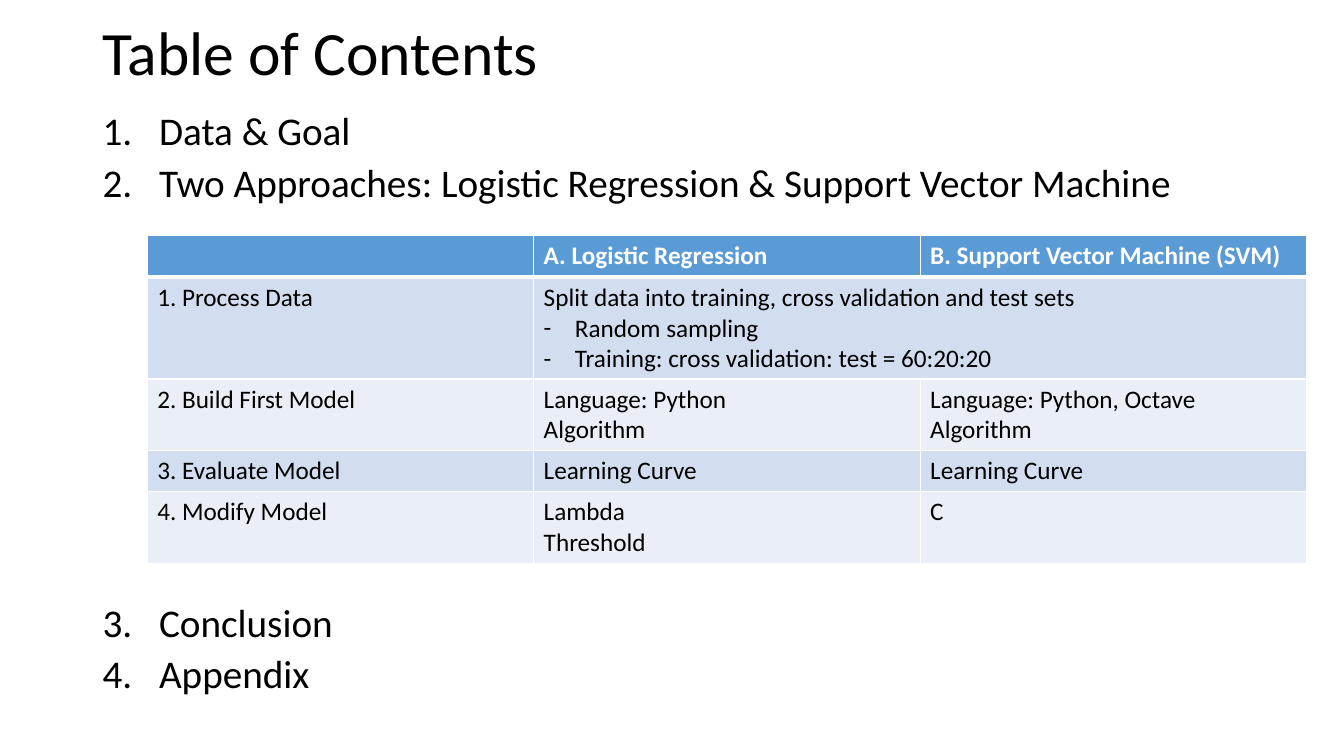
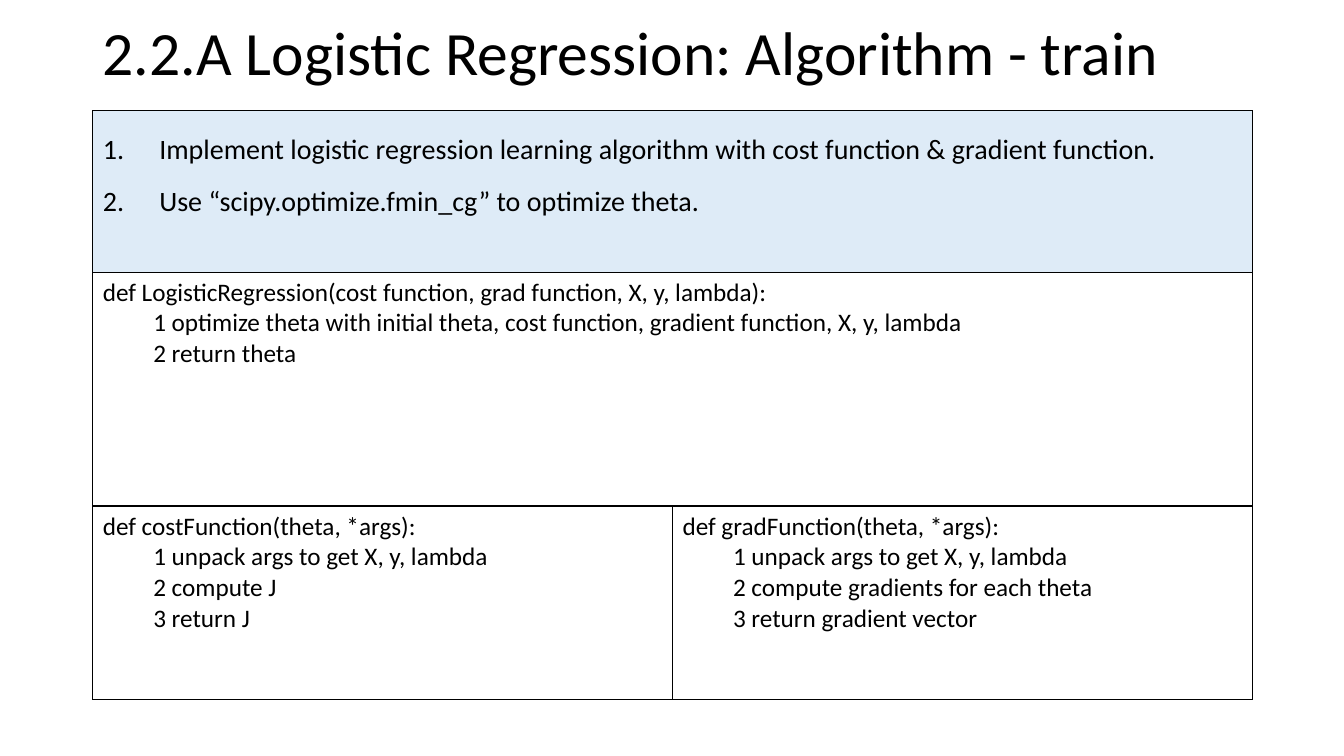
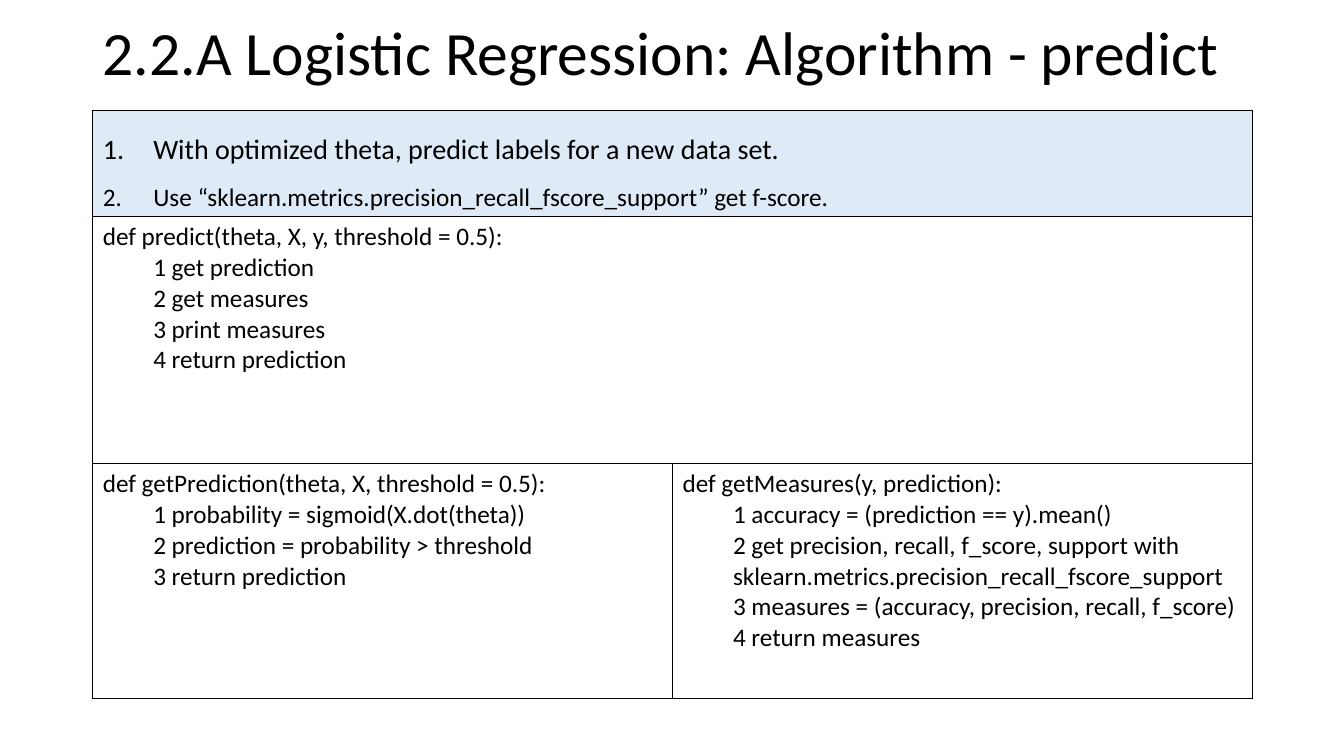
"""Builds three slides on a logistic regression study: contents, training and prediction."""
from dataclasses import dataclass

from lxml.etree import SubElement
from pptx import Presentation
from pptx.dml.color import RGBColor
from pptx.enum.text import MSO_ANCHOR
from pptx.oxml.ns import qn
from pptx.util import Inches, Pt

BLACK = RGBColor(0x00, 0x00, 0x00)
WHITE = RGBColor(0xFF, 0xFF, 0xFF)
HEADER_BLUE = RGBColor(0x5B, 0x9B, 0xD5)
BAND_DARK = RGBColor(0xD2, 0xDE, 0xEF)
BAND_LIGHT = RGBColor(0xEA, 0xEF, 0xF7)
SUMMARY_BLUE = RGBColor(0xDE, 0xEB, 0xF7)

LEFT, WIDTH, CONTENT_TOP = 0.92, 11.5, 1.1


@dataclass
class Line:
    """One paragraph with its size, indent, bullet and spacing."""
    text: str
    size: float = 18
    indent: float = 0
    bullet: str = ""
    spacing: float = 1.0
    before: float = 0
    color: RGBColor = BLACK
    bold: bool = False


@dataclass
class Cell:
    """One table cell with its lines, fill and column span."""
    lines: list
    fill: RGBColor = None
    span: int = 1


class Deck:
    """Holds the shared style and the current slide."""

    font = "Calibri"

    def __init__(self):
        self.presentation = Presentation()
        self.presentation.slide_width = Inches(13.33)
        self.presentation.slide_height = Inches(7.5)
        self.slide = None

    def new_slide(self, title):
        self.slide = self.presentation.slides.add_slide(self.presentation.slide_layouts[6])
        self.text([Line(title, 44, spacing=0.9)], 0.14, 0.82, MSO_ANCHOR.MIDDLE)

    def text(self, lines, top, height, anchor=MSO_ANCHOR.TOP):
        box = self.slide.shapes.add_textbox(Inches(LEFT), Inches(top), Inches(WIDTH), Inches(height))
        box.text_frame.word_wrap = True
        box.text_frame.vertical_anchor = anchor
        self.fill_lines(box.text_frame, lines)

    def fill_lines(self, frame, lines):
        for index, line in enumerate(lines):
            paragraph = frame.add_paragraph() if index else frame.paragraphs[0]
            paragraph.text = line.text
            self.indent(paragraph, line)
            paragraph.line_spacing = line.spacing
            paragraph.space_before = Pt(line.before)
            font = paragraph.font
            font.name, font.size, font.bold = self.font, Pt(line.size), line.bold
            font.color.rgb = line.color

    def indent(self, paragraph, line):
        properties = paragraph._p.get_or_add_pPr()
        properties.set("marL", str(Inches(line.indent)))
        properties.set("indent", str(-Inches(line.indent) if line.bullet else 0))
        if line.bullet == "1.":
            SubElement(properties, qn("a:buFont"), typeface="+mj-lt")
            SubElement(properties, qn("a:buAutoNum"), type="arabicPeriod")
        elif line.bullet:
            SubElement(properties, qn("a:buFont"), typeface=self.font)
            SubElement(properties, qn("a:buChar"), char=line.bullet)
        else:
            SubElement(properties, qn("a:buNone"))

    def table(self, rows, heights, columns, left, top, border, header_rule=1):
        grid = self.slide.shapes.add_table(
            len(rows), columns, Inches(left), Inches(top), Inches(WIDTH), Inches(sum(heights))).table
        grid.first_row = grid.horz_banding = False
        for row_index, (row, height) in enumerate(zip(rows, heights)):
            grid.rows[row_index].height = Inches(height)
            weights = {"L": 1, "R": 1, "T": header_rule if row_index == 1 else 1,
                       "B": header_rule if row_index == 0 else 1}
            column = 0
            for content in row:
                first = grid.cell(row_index, column)
                for position in range(column, column + content.span):
                    self.style_cell(grid.cell(row_index, position), content.fill, border, weights)
                if content.span > 1:
                    first.merge(grid.cell(row_index, column + content.span - 1))
                self.fill_lines(first.text_frame, content.lines)
                column += content.span

    def style_cell(self, cell, fill, border, weights):
        properties = cell._tc.get_or_add_tcPr()
        for side, weight in weights.items():
            edge = SubElement(properties, qn(f"a:ln{side}"), w=str(Pt(weight)))
            SubElement(SubElement(edge, qn("a:solidFill")), qn("a:srgbClr"), val=str(border))
        if fill is None:
            cell.fill.background()
        else:
            cell.fill.solid()
            cell.fill.fore_color.rgb = fill

    def algorithm(self, summary, main, helpers, heights):
        rows = [[Cell(summary, SUMMARY_BLUE, 2)], [Cell(main, span=2)],
                [Cell(helper) for helper in helpers]]
        self.table(rows, heights, 2, LEFT, CONTENT_TOP, BLACK)


def topic(text, before=10):
    return Line(text, 28, 0.56, "1.", 0.8, before)


def goal(text, size=20, indent=0.56):
    return Line(text, size, indent, "1.", 1.5)


def function(signature, *steps):
    return [Line(signature)] + [Line(step, indent=0.5) for step in steps]


def header(text):
    return Cell([Line(text, color=WHITE, bold=True)], HEADER_BLUE)


def band(fill, *texts):
    return [Cell([Line(text) for text in entry.split("\n")], fill) for entry in texts]


deck = Deck()

deck.new_slide("Table of Contents")
deck.text([
    topic("Data & Goal"),
    topic("Two Approaches: Logistic Regression & Support Vector Machine"),
    topic("Conclusion", before=287),
    topic("Appendix"),
], CONTENT_TOP, 6.4)
split = [Line("Split data into training, cross validation and test sets"),
         Line("Random sampling", indent=0.31, bullet="-"),
         Line("Training: cross validation: test = 60:20:20", indent=0.31, bullet="-")]
deck.table([
    [header(""), header("A. Logistic Regression"), header("B. Support Vector Machine (SVM)")],
    band(BAND_DARK, "1. Process Data") + [Cell(split, BAND_DARK, 2)],
    band(BAND_LIGHT, "2. Build First Model", "Language: Python\nAlgorithm",
         "Language: Python, Octave\nAlgorithm"),
    band(BAND_DARK, "3. Evaluate Model", "Learning Curve", "Learning Curve"),
    band(BAND_LIGHT, "4. Modify Model", "Lambda\nThreshold", "C"),
], [0.41, 1.01, 0.71, 0.41, 0.71], 3, 1.46, 2.34, WHITE, header_rule=3)

deck.new_slide("2.2.A Logistic Regression: Algorithm - train")
deck.algorithm(
    [goal("Implement logistic regression learning algorithm with cost function & gradient function."),
     goal("Use “scipy.optimize.fmin_cg” to optimize theta.")],
    function("def LogisticRegression(cost function, grad function, X, y, lambda):",
             "1 optimize theta with initial theta, cost function, gradient function, X, y, lambda",
             "2 return theta"),
    [function("def costFunction(theta, *args):", "1 unpack args to get X, y, lambda",
              "2 compute J", "3 return J"),
     function("def gradFunction(theta, *args):", "1 unpack args to get X, y, lambda",
              "2 compute gradients for each theta", "3 return gradient vector")],
    [1.6, 2.32, 1.92])

deck.new_slide("2.2.A Logistic Regression: Algorithm - predict")
deck.algorithm(
    [goal("With optimized theta, predict labels for a new data set.", indent=0.5),
     goal("Use “sklearn.metrics.precision_recall_fscore_support” get f-score.", 18, 0.5)],
    function("def predict(theta, X, y, threshold = 0.5):", "1 get prediction", "2 get measures",
             "3 print measures", "4 return prediction"),
    [function("def getPrediction(theta, X, threshold = 0.5):", "1 probability = sigmoid(X.dot(theta))",
              "2 prediction = probability > threshold", "3 return prediction"),
     function("def getMeasures(y, prediction):", "1 accuracy = (prediction == y).mean()",
              "2 get precision, recall, f_score, support with "
              "sklearn.metrics.precision_recall_fscore_support",
              "3 measures = (accuracy, precision, recall, f_score)", "4 return measures")],
    [1.03, 2.45, 2.33])

deck.presentation.save("out.pptx")
